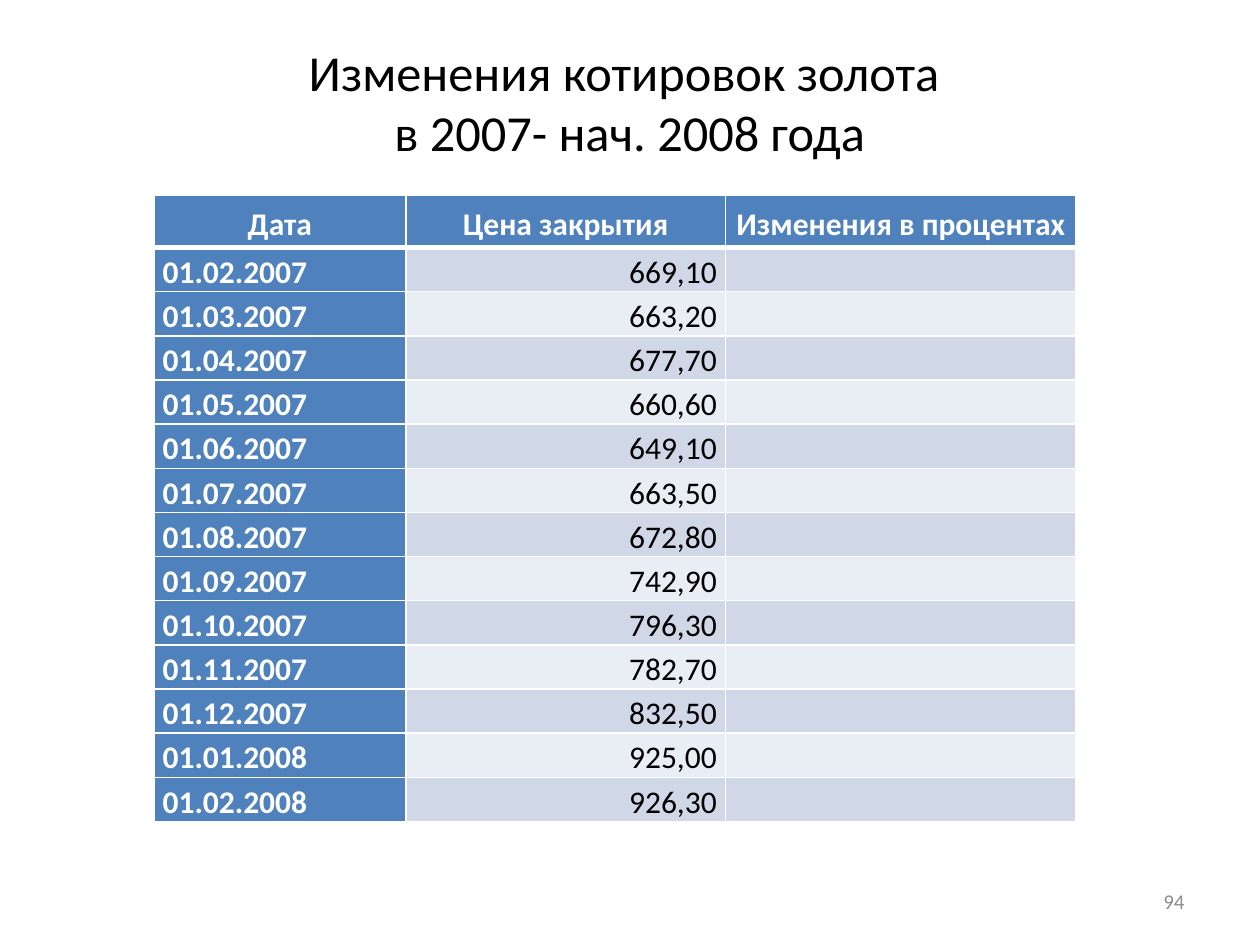
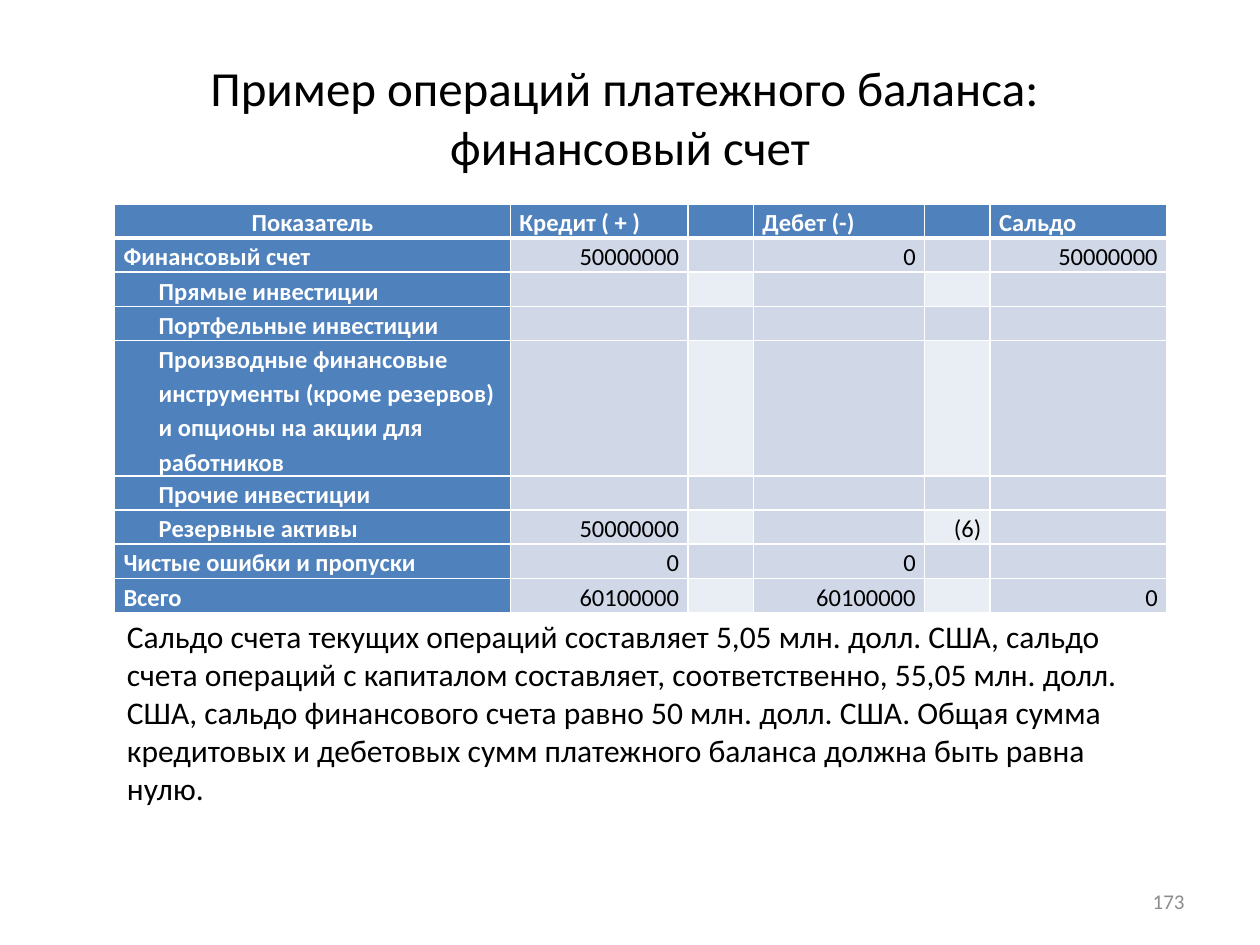
from dataclasses import dataclass

import lxml.etree
import pptx
import pptx.dml.color
import pptx.enum.text
import pptx.oxml.ns
import pptx.util

Cm = pptx.util.Cm
Pt = pptx.util.Pt
ALIGN = pptx.enum.text.PP_ALIGN
ANCHOR = pptx.enum.text.MSO_ANCHOR
qn = pptx.oxml.ns.qn

FONT = "Calibri"
COLORS = {
    "text": "000000",
    "head": "4F81BD",
    "head_text": "FFFFFF",
    "dark_band": "D0D8E8",
    "light_band": "E9EDF4",
    "grid": "FFFFFF",
    "number": "8C8C8C",
}


@dataclass(frozen=True)
class Box:
    left: float
    top: float
    width: float
    height: float


@dataclass(frozen=True)
class TextStyle:
    size: float
    color: str = "text"
    bold: bool = False
    align: ALIGN = ALIGN.LEFT


@dataclass(frozen=True)
class TableSpec:
    left: float
    top: float
    columns: list[float]
    header_height: float
    row_height: float
    size: float
    rows: list[list[str]]
    header_aligns: list[ALIGN]
    striped_columns: set[int]
    header_anchor: ANCHOR = ANCHOR.TOP
    body_anchor: ANCHOR = ANCHOR.TOP
    indented_rows: frozenset[int] = frozenset()


def add_run(paragraph, text: str, style: TextStyle) -> None:
    run = paragraph.add_run()
    run.text = text
    run.font.name = FONT
    run.font.size = Pt(style.size)
    run.font.bold = style.bold
    run.font.color.rgb = pptx.dml.color.RGBColor.from_string(COLORS[style.color])


def add_text(slide, box: Box, lines: list[str], style: TextStyle,
             anchor: ANCHOR = ANCHOR.MIDDLE) -> None:
    place = (box.left, box.top, box.width, box.height)
    frame = slide.shapes.add_textbox(*map(Cm, place)).text_frame
    frame.word_wrap = True
    frame.vertical_anchor = anchor
    paragraph = frame.paragraphs[0]
    paragraph.alignment = style.align
    for index, line in enumerate(lines):
        if index:
            paragraph.add_line_break()
        add_run(paragraph, line, style)


def add_title(slide, lines: list[str], size: float, height: float) -> None:
    add_text(slide, Box(1.27, 0.76, 22.86, height), lines,
             TextStyle(size, align=ALIGN.CENTER))


def add_page_number(slide, number: int) -> None:
    add_text(slide, Box(18.2, 17.65, 5.93, 1.02), [str(number)],
             TextStyle(12, "number", align=ALIGN.RIGHT))


def add_borders(cell, row: int) -> None:
    # The rule under the header is three times as thick as the grid
    widths = {"lnL": 1, "lnR": 1, "lnT": 3 if row == 1 else 1, "lnB": 3 if row == 0 else 1}
    properties = cell._tc.get_or_add_tcPr()
    for side, width in widths.items():
        line = lxml.etree.SubElement(properties, qn(f"a:{side}"), w=str(Pt(width)))
        fill = lxml.etree.SubElement(line, qn("a:solidFill"))
        lxml.etree.SubElement(fill, qn("a:srgbClr"), val=COLORS["grid"])


def fill_cell(cell, spec: TableSpec, row: int, column: int) -> None:
    is_head = row == 0 or column == 0
    is_light = row % 2 == 0 and column in spec.striped_columns
    fill = "head" if is_head else "light_band" if is_light else "dark_band"
    add_borders(cell, row)
    cell.fill.solid()
    cell.fill.fore_color.rgb = pptx.dml.color.RGBColor.from_string(COLORS[fill])
    cell.margin_left = cell.margin_right = Cm(0.18)
    cell.margin_top = cell.margin_bottom = 0
    cell.vertical_anchor = spec.body_anchor if row else spec.header_anchor

    paragraph = cell.text_frame.paragraphs[0]
    paragraph.line_spacing = 1.15
    if row == 0:
        paragraph.alignment = spec.header_aligns[column]
    else:
        paragraph.alignment = ALIGN.RIGHT if column else ALIGN.LEFT
    if column == 0 and row in spec.indented_rows:
        paragraph._p.get_or_add_pPr().set("marL", str(Cm(0.71)))

    text = spec.rows[row][column]
    if text:
        add_run(paragraph, text,
                TextStyle(spec.size, "head_text" if is_head else "text", is_head))
    else:
        # Empty cells keep the table's text size, so rows do not grow
        lxml.etree.SubElement(paragraph._p, qn("a:endParaRPr"), sz=str(int(spec.size * 100)))


def add_data_table(slide, spec: TableSpec) -> None:
    heights = [spec.header_height] + [spec.row_height] * (len(spec.rows) - 1)
    table = slide.shapes.add_table(
        len(heights), len(spec.columns), Cm(spec.left), Cm(spec.top),
        Cm(sum(spec.columns)), Cm(sum(heights))).table
    table.horz_banding = False
    for column, width in zip(table.columns, spec.columns):
        column.width = Cm(width)
    for r, height in enumerate(heights):
        table.rows[r].height = Cm(height)
        for c in range(len(spec.columns)):
            fill_cell(table.cell(r, c), spec, r, c)


# Gold prices, one per month from February 2007
CLOSING_PRICES = ["669,10", "663,20", "677,70", "660,60", "649,10", "663,50", "672,80",
                  "742,90", "796,30", "782,70", "832,50", "925,00", "926,30"]
GOLD_TABLE = TableSpec(
    left=3.1, top=3.94, columns=[5.08, 6.45, 7.06], header_height=1.05, row_height=0.89,
    size=18,
    rows=[["Дата", "Цена закрытия", "Изменения в процентах"]] + [
        [f"01.{month % 12 + 1:02}.{2007 + month // 12}", price, ""]
        for month, price in enumerate(CLOSING_PRICES, start=1)],
    header_aligns=[ALIGN.CENTER] * 3,
    striped_columns={1, 2},
    header_anchor=ANCHOR.MIDDLE,
    body_anchor=ANCHOR.BOTTOM,
)

# Financial account of the balance of payments
ACCOUNT_TABLE = TableSpec(
    left=2.31, top=4.11, columns=[7.98, 3.58, 1.32, 3.45, 1.32, 3.56],
    header_height=0.69, row_height=0.69, size=14,
    rows=[
        ["Показатель", "Кредит ( + )", "", "Дебет (-)", "", "Сальдо"],
        ["Финансовый счет", "50000000", "", "0", "", "50000000"],
        ["Прямые инвестиции"] + [""] * 5,
        ["Портфельные инвестиции"] + [""] * 5,
        ["Производные финансовые инструменты (кроме резервов) "
         "и опционы на акции для работников"] + [""] * 5,
        ["Прочие инвестиции"] + [""] * 5,
        ["Резервные активы", "50000000", "", "", "(6)", ""],
        ["Чистые ошибки и пропуски", "0", "", "0", "", ""],
        ["Всего", "60100000", "", "60100000", "", "0"],
    ],
    header_aligns=[ALIGN.CENTER] + [ALIGN.LEFT] * 5,
    striped_columns={2, 4},
    indented_rows=frozenset(range(2, 7)),
)
ACCOUNT_NOTE = (
    "Сальдо счета текущих операций составляет 5,05 млн. долл. США, сальдо счета операций "
    "с капиталом составляет, соответственно, 55,05 млн. долл. США, сальдо финансового счета "
    "равно 50 млн. долл. США. Общая сумма кредитовых и дебетовых сумм платежного баланса "
    "должна быть равна нулю.")


def main() -> None:
    deck = pptx.Presentation()
    deck.slide_width, deck.slide_height = Cm(25.4), Cm(19.05)
    blank = deck.slide_layouts[6]

    # Gold quotations
    gold = deck.slides.add_slide(blank)
    add_title(gold, ["Изменения котировок золота ", "в 2007- нач. 2008 года"], 28.8, 2.57)
    add_data_table(gold, GOLD_TABLE)
    add_page_number(gold, 94)

    # Balance of payments
    account = deck.slides.add_slide(blank)
    add_title(account, ["Пример операций платежного баланса: ", "финансовый счет"], 28, 3.18)
    add_data_table(account, ACCOUNT_TABLE)
    add_page_number(account, 173)
    add_text(account, Box(2.31, 12.32, 21.21, 4.11), [ACCOUNT_NOTE], TextStyle(18), ANCHOR.TOP)

    deck.save("out.pptx")


if __name__ == "__main__":
    main()
